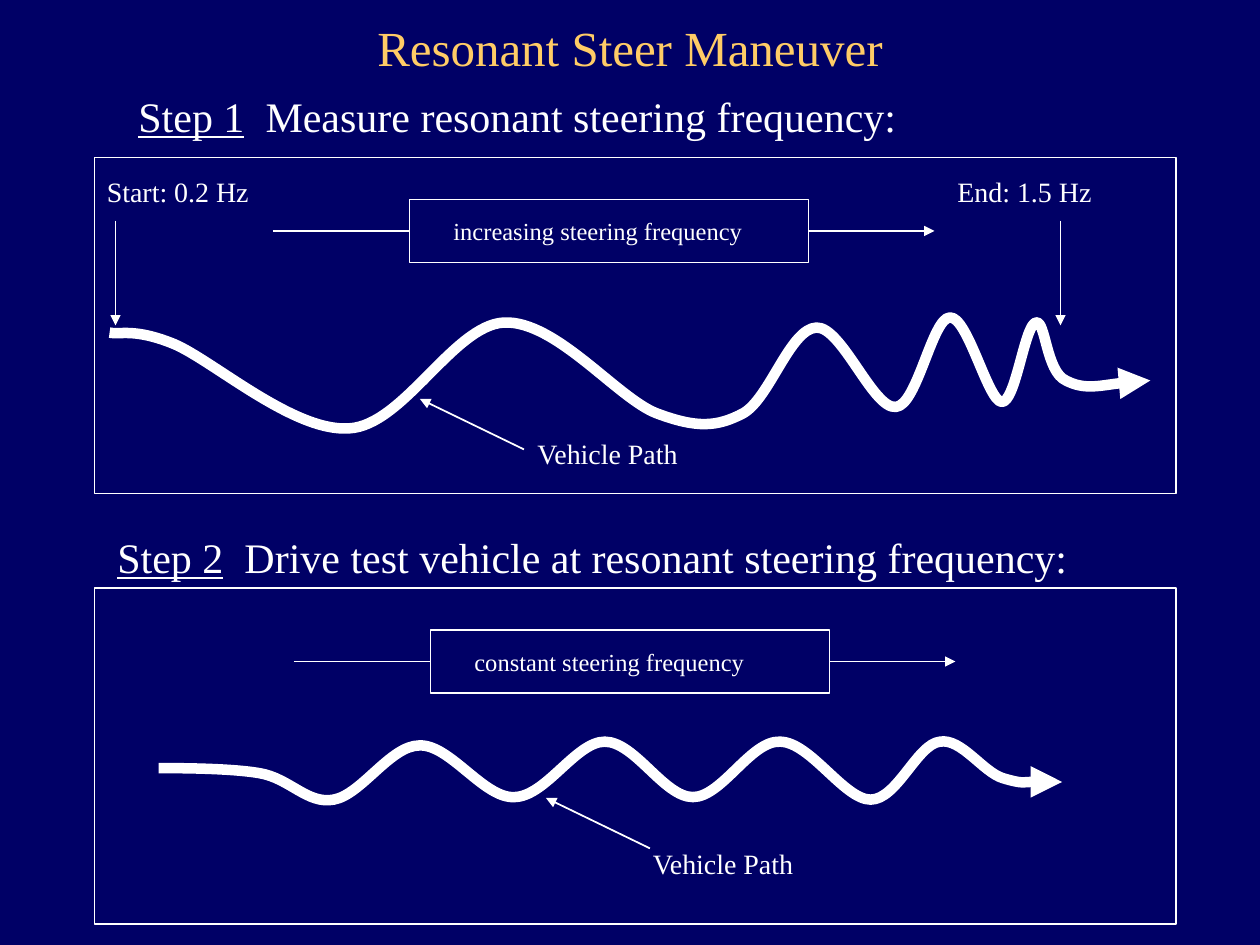
"""Build the slide on the resonant steer maneuver."""
import itertools

import pptx
import pptx.dml.color
import pptx.enum.dml
import pptx.enum.shapes
import pptx.enum.text
import pptx.oxml
import pptx.oxml.ns
import pptx.util

FONT = "Times New Roman"
NAVY, GOLD, WHITE = "000066", "FFCC66", "FFFFFF"
WIDTH, HEIGHT = pptx.util.Inches(10), pptx.util.Inches(7.5)
COLUMN, ROW = WIDTH / 120, HEIGHT / 90
HUNDREDTH = pptx.util.Inches(0.01)
PANEL_LEFT, PANEL_WIDTH, PANEL_HEIGHT = 9, 103, 32

SWEEP_PATH = [
    (12, 139), (20, 141), (31, 135), (63, 148), (94, 161), (158, 218), (202, 215),
    (245, 213), (285, 133), (325, 131), (366, 129), (415, 191), (446, 203),
    (478, 215), (494, 214), (515, 203), (536, 191), (552, 136), (573, 135),
    (593, 134), (618, 200), (636, 198), (653, 197), (665, 127), (679, 127),
    (693, 126), (709, 193), (720, 194), (731, 195), (738, 134), (747, 131),
    (755, 128), (755, 170), (771, 177), (786, 185), (824, 177), (838, 177),
]
STEADY_PATH = [
    (51, 143), (65, 143), (108, 143), (131, 147), (155, 151), (169, 172), (190, 168),
    (212, 164), (235, 125), (258, 125), (282, 124), (309, 167), (333, 166),
    (358, 166), (382, 122), (405, 122), (429, 122), (452, 166), (475, 166),
    (498, 166), (521, 121), (544, 122), (568, 122), (595, 168), (616, 168),
    (637, 168), (653, 124), (671, 122), (688, 119), (705, 146), (721, 151),
    (738, 156), (758, 153), (768, 154),
]


def color(value):
    """Turn a hex string into a colour."""
    return pptx.dml.color.RGBColor.from_string(value)


def grid(column, row):
    """Turn a column and a row into a horizontal and a vertical length."""
    return round(column * COLUMN), round(row * ROW)


def element(tag):
    """Create an empty drawing element."""
    return pptx.oxml.parse_xml(f"<{tag} {pptx.oxml.ns.nsdecls('a')}/>")


def draw_line(item, width, arrow=False):
    """Give an item a white line, with an arrowhead at its end if asked."""
    item.line.color.rgb = color(WHITE)
    item.line.width = pptx.util.Pt(width)
    if arrow:
        head = element("a:tailEnd")
        head.set("type", "triangle")
        item.line._get_or_add_ln().append(head)


def add_span(para, text, size, value=WHITE, underline=False):
    """Add one formatted run to a paragraph."""
    span = para.add_run()
    span.text = text
    span.font.name = FONT
    span.font.size = pptx.util.Pt(size)
    span.font.color.rgb = color(value)
    span.font.underline = underline


def add_text(page, left, top, width, height, size, text, underlined=""):
    """Add a text box whose opening words may be underlined."""
    box = page.shapes.add_textbox(*grid(left, top), *grid(width, height))
    frame = box.text_frame
    frame.word_wrap = True
    frame.auto_size = pptx.enum.text.MSO_AUTO_SIZE.SHAPE_TO_FIT_TEXT
    para = frame.paragraphs[0]
    if underlined:
        add_span(para, underlined, size, underline=True)
    add_span(para, text, size)


def add_frame(page, left, top, width, height):
    """Add an unfilled rectangle with a thin outline."""
    frame = page.shapes.add_shape(
        pptx.enum.shapes.MSO_SHAPE.RECTANGLE, *grid(left, top), *grid(width, height))
    frame.shadow.inherit = False
    frame.fill.background()
    draw_line(frame, 0.75)
    return frame


def add_line(page, start, end, width, arrow=True):
    """Add a straight connector between two grid points."""
    line = page.shapes.add_connector(
        pptx.enum.shapes.MSO_CONNECTOR.STRAIGHT, *grid(*start), *grid(*end))
    draw_line(line, width, arrow)
    line._element.spPr.append(element("a:effectLst"))
    return line


def add_vehicle_path(page, left, top, points):
    """Add a thick smooth curve, given in hundredths of an inch from the panel corner."""
    builder = page.shapes.build_freeform(*points[0], scale=HUNDREDTH)
    builder.add_line_segments(points[1:], close=False)
    curve = builder.convert_to_shape(*grid(left, top))
    curve.shadow.inherit = False
    curve.fill.background()
    draw_line(curve, 6, arrow=True)
    segments = iter(curve._element.findall(".//" + pptx.oxml.ns.qn("a:lnTo")))
    for first, second, third in zip(segments, segments, segments):
        bend = element("a:cubicBezTo")
        first.addprevious(bend)
        for segment in (first, second, third):
            bend.append(segment[0])
            segment.getparent().remove(segment)


def add_frequency_banner(page, left, top, text):
    """Add a framed caption with a line entering it and an arrow leaving it."""
    middle = top + 3
    frame = add_frame(page, left, top, 38, 6)
    add_text(page, left + 3, top + 1, 39, 4, 14, text)
    entering = add_line(page, (left - 13, middle), (left, middle), 1, arrow=False)
    entering.end_connect(frame, 1)
    leaving = add_line(page, (left + 38, middle), (left + 50, middle), 1)
    leaving.begin_connect(frame, 3)


def add_panel(page, top, banner_column, banner, points, tip, label):
    """Add a framed panel with its banner, vehicle path and labelled pointer."""
    add_frame(page, PANEL_LEFT, top, PANEL_WIDTH, PANEL_HEIGHT)
    add_frequency_banner(page, PANEL_LEFT + banner_column, top + 4, banner)
    add_vehicle_path(page, PANEL_LEFT, top, points)
    column, row = PANEL_LEFT + tip[0], top + tip[1]
    add_line(page, (column + 9.9, row + 4.8), (column, row), 1)
    add_text(page, PANEL_LEFT + label[0], top + label[1], 17, 4.4, 16, "Vehicle Path")


def add_marker(page, left, top, text):
    """Add a frequency label with an arrow pointing down from it."""
    add_text(page, left, top, 17, 4.4, 16, text)


def add_title(page, text):
    """Place and format the title placeholder."""
    title = page.shapes.title
    title.left, title.top = grid(9, 3)
    title.width, title.height = grid(102, 3)
    frame = title.text_frame
    frame.word_wrap = True
    frame.auto_size = pptx.enum.text.MSO_AUTO_SIZE.NONE
    frame.vertical_anchor = pptx.enum.text.MSO_ANCHOR.MIDDLE
    para = frame.paragraphs[0]
    para.alignment = pptx.enum.text.PP_ALIGN.CENTER
    add_span(para, text, 28, GOLD)


def main():
    """Build and save the deck."""
    deck = pptx.Presentation()
    deck.slide_width, deck.slide_height = WIDTH, HEIGHT
    page = deck.slides.add_slide(deck.slide_layouts[5])
    page.background.fill.solid()
    page.background.fill.fore_color.rgb = color(NAVY)
    add_title(page, "Resonant Steer Maneuver")
    add_text(page, 12, 8, 76, 6, 24, "  Measure resonant steering frequency:", "Step 1")
    add_panel(page, 15, 30, "increasing steering frequency", SWEEP_PATH, (31, 23), (41, 26))
    for text, left, column in (("Start: 0.2 Hz", 9, 11), ("End: 1.5 Hz", 90, 101)):
        add_marker(page, left, 16, text)
        add_line(page, (column, 21), (column, 31), 0.75)
    add_text(page, 10, 50, 96, 6, 24,
             "  Drive test vehicle at resonant steering frequency:", "Step 2")
    add_panel(page, 56, 32, "constant steering frequency", STEADY_PATH, (43, 20), (52, 24))
    deck.save("out.pptx")


if __name__ == "__main__":
    main()
